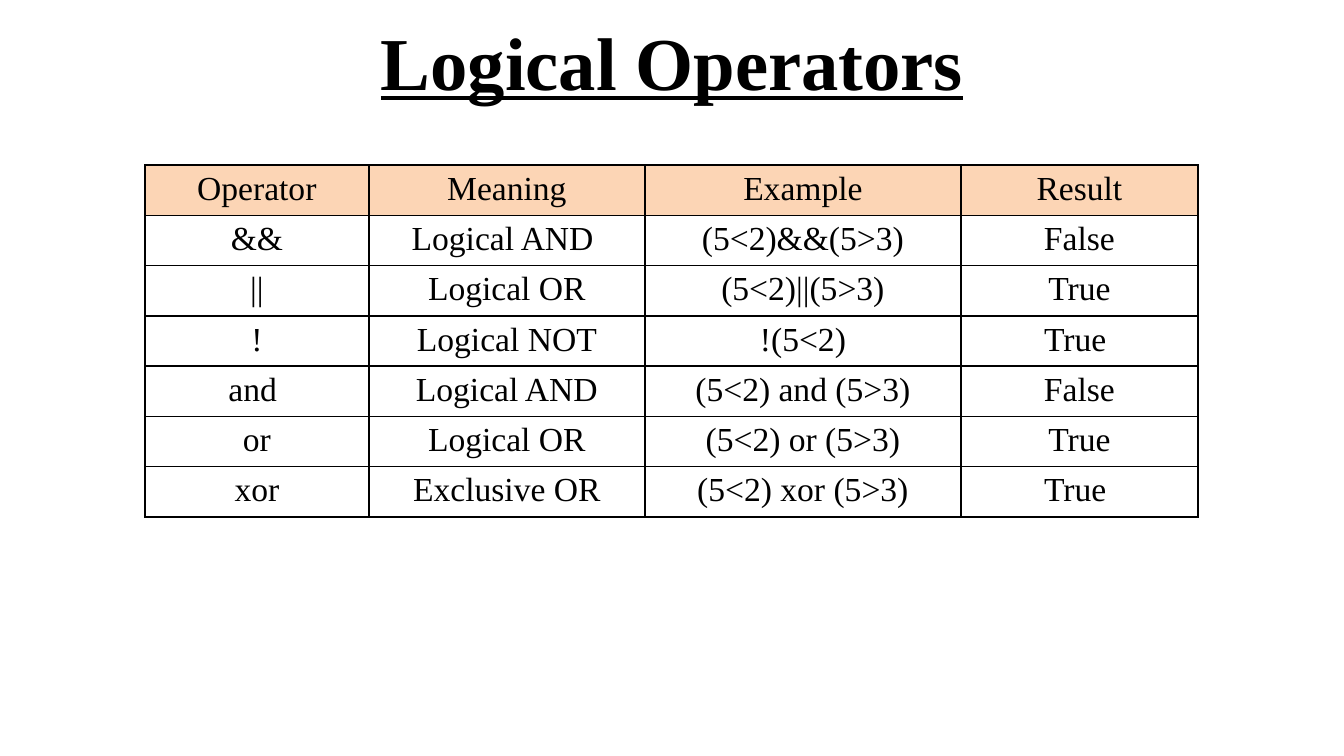
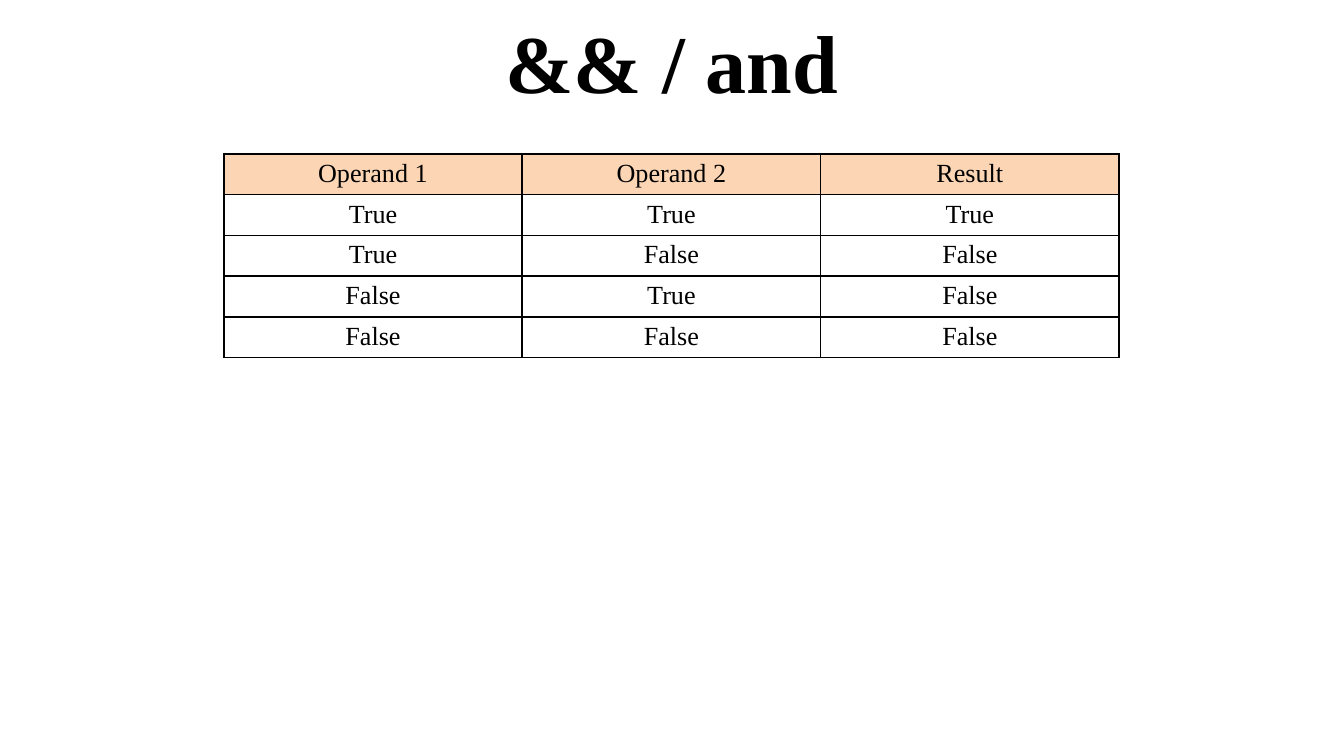
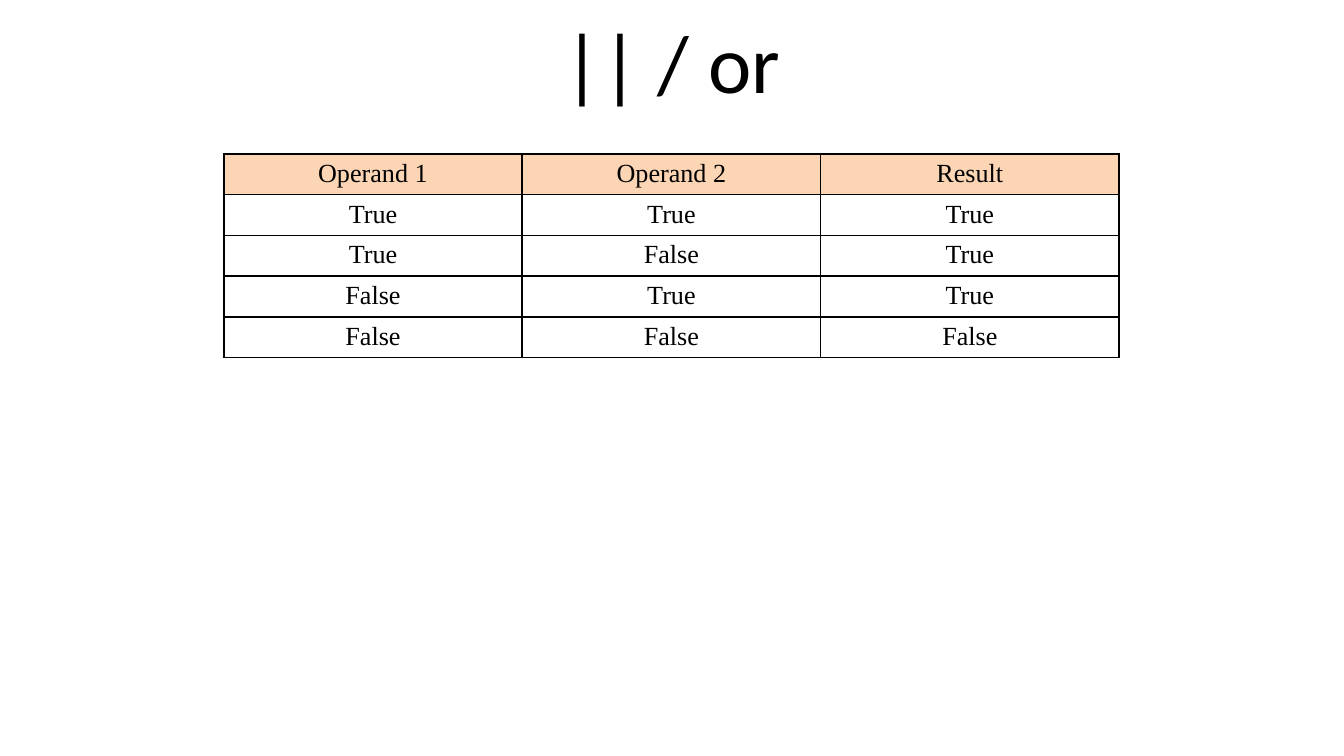
from itertools import product

from lxml import etree
from pptx import Presentation
from pptx.dml.color import RGBColor
from pptx.enum import text
from pptx.oxml import ns
from pptx.util import Cm, Pt

BLACK = RGBColor(0x00, 0x00, 0x00)
PEACH = RGBColor(0xFC, 0xD5, 0xB5)
SERIF = "Times New Roman"
SANS = "Calibri"
TITLE_ONLY = 5

OPERATORS = [
    ("Operator", "Meaning", "Example", "Result"),
    ("&&", "Logical AND ", "(5<2)&&(5>3)", "False"),
    ("||", "Logical OR", "(5<2)||(5>3)", "True"),
    ("!", "Logical NOT", "!(5<2)", "True "),
    ("and ", "Logical AND", "(5<2) and (5>3)", "False"),
    ("or", "Logical OR", "(5<2) or (5>3)", "True"),
    ("xor", "Exclusive OR", "(5<2) xor (5>3)", "True "),
]


def write(paragraph, wording, size, font=SERIF, bold=False, underline=None):
    paragraph.alignment = text.PP_ALIGN.CENTER
    run = paragraph.add_run()
    run.text = wording
    run.font.size = Pt(size)
    run.font.name = font
    run.font.bold = bold
    run.font.underline = underline
    run.font.color.rgb = BLACK


def add_titled_slide(prs, wording, size, **style):
    slide = prs.slides.add_slide(prs.slide_layouts[TITLE_ONLY])
    title = slide.shapes.title
    title.left, title.top = Cm(1.27), Cm(-0.05)
    title.width, title.height = Cm(22.86), Cm(2.38)
    title.text_frame.vertical_anchor = text.MSO_ANCHOR.MIDDLE
    write(title.text_frame.paragraphs[0], wording, size, **style)
    return slide


def add_borders(cell):
    properties = cell._tc.get_or_add_tcPr()
    for side in ("lnL", "lnR", "lnT", "lnB"):
        line = etree.SubElement(properties, ns.qn(f"a:{side}"), w=str(Pt(1)))
        fill = etree.SubElement(line, ns.qn("a:solidFill"))
        etree.SubElement(fill, ns.qn("a:srgbClr"), val=str(BLACK))


def add_grid(slide, rows, left, top, widths, row_height, size):
    """Add a bordered table whose first row is the peach header."""
    table = slide.shapes.add_table(
        len(rows), len(widths), Cm(left), Cm(top),
        Cm(sum(widths)), Cm(row_height * len(rows))).table
    table.horz_banding = False
    for column, width in zip(table.columns, widths):
        column.width = Cm(width)
    for r, row in enumerate(rows):
        table.rows[r].height = Cm(row_height)
        for c, wording in enumerate(row):
            cell = table.cell(r, c)
            cell.margin_left = cell.margin_right = Cm(0.25)
            cell.margin_top = cell.margin_bottom = Cm(0.1)
            add_borders(cell)
            if r == 0:
                cell.fill.solid()
                cell.fill.fore_color.rgb = PEACH
            else:
                cell.fill.background()
            write(cell.text_frame.paragraphs[0], wording, size)


def add_truth_table(slide, combine):
    """Add the table of combine() over every pair of operands."""
    rows = [("Operand 1", "Operand 2", "Result")]
    for operands in product((True, False), repeat=2):
        rows.append([str(value) for value in (*operands, combine(operands))])
    add_grid(slide, rows, left=4.23, top=2.91, widths=[5.64] * 3,
             row_height=0.77, size=14)


def main():
    prs = Presentation()
    prs.slide_width, prs.slide_height = Cm(25.4), Cm(14.29)

    overview = add_titled_slide(prs, "Logical Operators", 40,
                                bold=True, underline=True)
    add_grid(overview, OPERATORS, left=2.74, top=3.12,
             widths=[4.23, 5.22, 5.97, 4.48], row_height=0.95, size=18)

    add_truth_table(add_titled_slide(prs, "&& / and", 44, bold=True), all)
    add_truth_table(add_titled_slide(prs, "|| / or", 44, font=SANS), any)

    prs.save("out.pptx")


if __name__ == "__main__":
    main()
